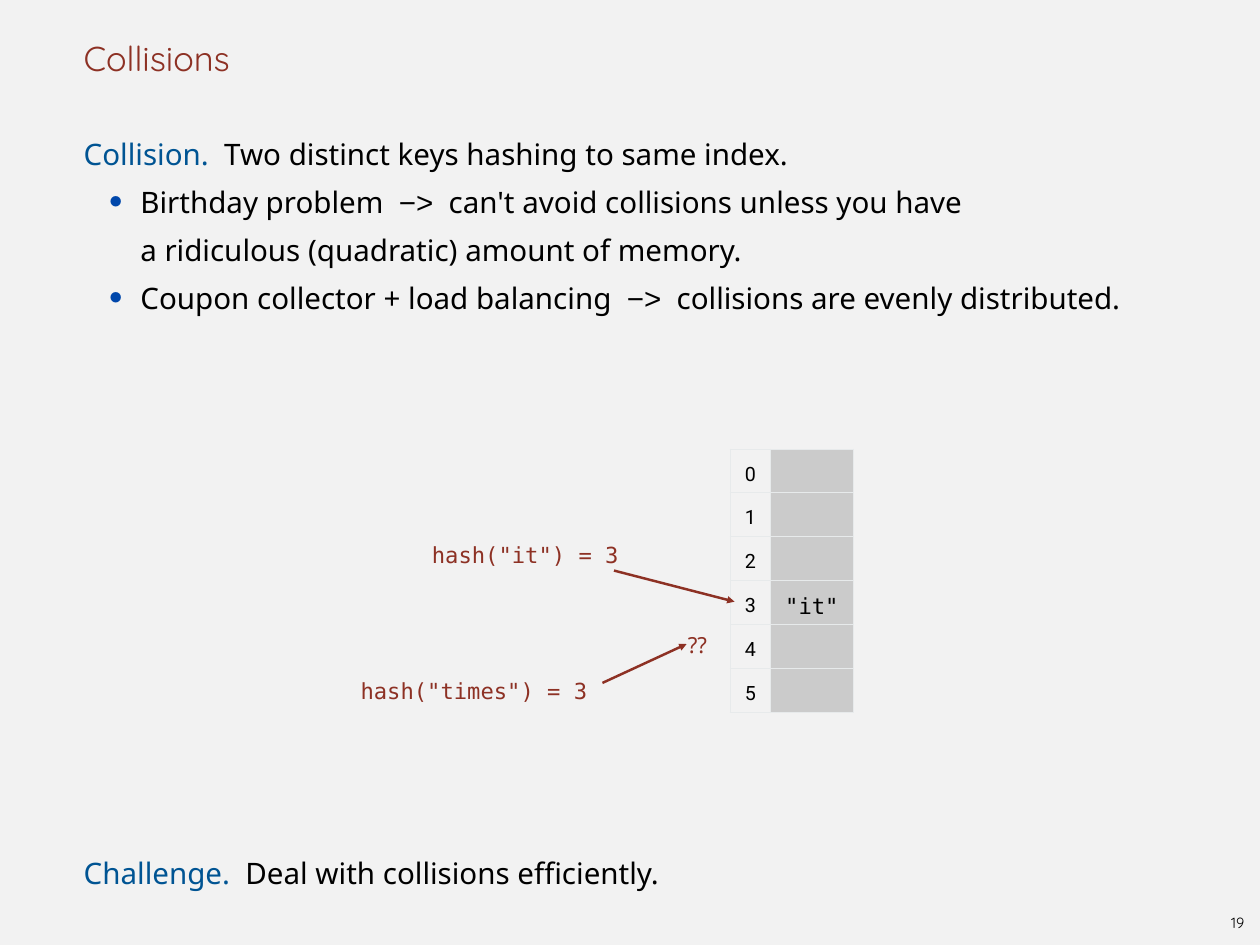
from dataclasses import dataclass

from lxml.etree import SubElement
from pptx import Presentation
from pptx.dml.color import RGBColor
from pptx.enum.shapes import MSO_CONNECTOR
from pptx.enum.text import MSO_ANCHOR, PP_ALIGN
from pptx.oxml.ns import qn
from pptx.slide import Slide
from pptx.table import _Cell
from pptx.text.text import TextFrame, _Paragraph
from pptx.util import Pt


@dataclass(frozen=True)
class Theme:
    background: str = "F2F2F2"
    black: str = "000000"
    red: str = "8D3124"
    blue: str = "005493"
    bullet: str = "0047AB"
    slot: str = "CBCBCB"
    border: str = "E7EAEB"
    heading_font: str = "Quicksand"
    body_font: str = "Noto Sans"
    code_font: str = "DejaVu Sans Mono"
    index_font: str = "Roboto"
    arrow_font: str = "Arial"
    title_size: float = 28
    body_size: float = 24
    code_size: float = 18
    index_size: float = 16
    page_size: float = 12
    body_leading: float = 39


THEME = Theme()


@dataclass(frozen=True)
class Box:
    left: float
    top: float
    width: float
    height: float


@dataclass(frozen=True)
class Run:
    text: str
    color: str = THEME.black
    font: str = THEME.body_font
    spacing: float = 0


@dataclass(frozen=True)
class BodyLine:
    lines: list[list[Run]]
    bulleted: bool = False


@dataclass(frozen=True)
class Label:
    text: str
    box: Box
    font: str = THEME.code_font


@dataclass(frozen=True)
class Arrow:
    start: tuple[float, float]
    tip: tuple[float, float]


GAP = Run(" ", spacing=6.24)
IMPLIES = Run("−>", font=THEME.arrow_font)
DEFINITION = [
    BodyLine([[Run("Collision.", THEME.blue), GAP, Run("Two distinct keys hashing to same index.")]]),
    BodyLine([
        [Run("Birthday problem"), GAP, IMPLIES, GAP, Run("can't avoid collisions unless you have")],
        [Run("a ridiculous (quadratic) amount of memory.")],
    ], bulleted=True),
    BodyLine([
        [Run("Coupon collector + load balancing"), GAP, IMPLIES, GAP,
         Run("collisions are evenly distributed.")],
    ], bulleted=True),
]
CHALLENGE = [
    BodyLine([[Run("Challenge.", THEME.blue), GAP, Run("Deal with collisions efficiently.")]]),
]
LABELS = [
    Label('hash("it") = 3', Box(347, 429, 166, 29)),
    Label('hash("times") = 3', Box(289, 539.3, 198, 29)),
    Label("??", Box(555, 502, 29, 29), THEME.body_font),
]
ARROWS = [
    Arrow((499, 463.7), (597, 489)),
    Arrow((489.6, 555), (558, 523.4)),
]
SLOTS = ["", "", "", '"it"', "", ""]
TABLE_BOX = Box(593.3, 365, 100, 213.6)
INDEX_WIDTH = 33
BODY_LEFT, BODY_TOP, BODY_WIDTH = 64, 100, 896
CHALLENGE_LINE = 15


def add_text(paragraph: _Paragraph, text: str, *, font: str, size: float,
             color: str = THEME.black, spacing: float = 0) -> None:
    run = paragraph.add_run()
    run.text = text
    run.font.name = font
    run.font.size = Pt(size)
    run.font.color.rgb = RGBColor.from_string(color)
    if spacing:
        run.font._element.set("spc", str(round(spacing * 100)))


def set_indent(paragraph: _Paragraph, left: float, first: float = 0) -> None:
    properties = paragraph._p.get_or_add_pPr()
    properties.set("marL", str(Pt(left)))
    properties.set("indent", str(Pt(first)))


def add_bullet(paragraph: _Paragraph) -> None:
    properties = paragraph._p.get_or_add_pPr()
    color = SubElement(properties, qn("a:buClr"))
    SubElement(color, qn("a:srgbClr"), val=THEME.bullet)
    SubElement(properties, qn("a:buSzPct"), val="167000")
    SubElement(properties, qn("a:buFont"), typeface=THEME.body_font)
    SubElement(properties, qn("a:buChar"), char="・")


def add_frame(slide: Slide, box: Box, *, anchor: MSO_ANCHOR = MSO_ANCHOR.TOP) -> TextFrame:
    shape = slide.shapes.add_textbox(Pt(box.left), Pt(box.top), Pt(box.width), Pt(box.height))
    frame = shape.text_frame
    frame.word_wrap = True
    frame.vertical_anchor = anchor
    frame.margin_left = frame.margin_right = frame.margin_top = frame.margin_bottom = 0
    set_indent(frame.paragraphs[0], 4)
    return frame


def add_body(slide: Slide, box: Box, body_lines: list[BodyLine]) -> None:
    frame = add_frame(slide, box)
    for position, body_line in enumerate(body_lines):
        paragraph = frame.add_paragraph() if position else frame.paragraphs[0]
        if body_line.bulleted:
            set_indent(paragraph, 50, -40)
            add_bullet(paragraph)
        paragraph.line_spacing = Pt(THEME.body_leading)
        for number, runs in enumerate(body_line.lines):
            if number:
                paragraph.add_line_break()
            for run in runs:
                add_text(paragraph, run.text, font=run.font, size=THEME.body_size,
                         color=run.color, spacing=run.spacing)


def add_label(slide: Slide, label: Label) -> None:
    paragraph = add_frame(slide, label.box).paragraphs[0]
    paragraph.line_spacing = 1.5
    add_text(paragraph, label.text, font=label.font, size=THEME.code_size, color=THEME.red)


def add_arrow(slide: Slide, arrow: Arrow) -> None:
    connector = slide.shapes.add_connector(
        MSO_CONNECTOR.STRAIGHT, *(Pt(value) for value in (*arrow.start, *arrow.tip)))
    connector.line.color.rgb = RGBColor.from_string(THEME.red)
    connector.line.width = Pt(2)
    SubElement(connector.line._get_or_add_ln(), qn("a:tailEnd"), type="triangle")
    SubElement(connector._element.spPr, qn("a:effectLst"))


def format_cell(cell: _Cell, text: str, *, font: str, size: float, fill: str | None = None) -> None:
    cell.vertical_anchor = MSO_ANCHOR.MIDDLE
    cell.margin_left = cell.margin_right = cell.margin_top = cell.margin_bottom = Pt(4)
    properties = cell._tc.get_or_add_tcPr()
    for side in ("L", "R", "T", "B"):
        border = SubElement(properties, qn(f"a:ln{side}"), w=str(Pt(1)))
        solid = SubElement(border, qn("a:solidFill"))
        SubElement(solid, qn("a:srgbClr"), val=THEME.border)
    if fill:
        cell.fill.solid()
        cell.fill.fore_color.rgb = RGBColor.from_string(fill)
    else:
        cell.fill.background()
    if text:
        paragraph = cell.text_frame.paragraphs[0]
        paragraph.alignment = PP_ALIGN.CENTER
        paragraph.line_spacing = 1.3
        add_text(paragraph, text, font=font, size=size)


def add_hash_table(slide: Slide, box: Box, slots: list[str]) -> None:
    table = slide.shapes.add_table(len(slots), 2, Pt(box.left), Pt(box.top),
                                   Pt(box.width), Pt(box.height)).table
    table.first_row = table.horz_banding = False
    table.columns[0].width = Pt(INDEX_WIDTH)
    table.columns[1].width = Pt(box.width - INDEX_WIDTH)
    for index, key in enumerate(slots):
        format_cell(table.cell(index, 0), str(index), font=THEME.index_font, size=THEME.index_size)
        format_cell(table.cell(index, 1), key, font=THEME.code_font, size=THEME.code_size,
                    fill=THEME.slot)


def main() -> None:
    presentation = Presentation()
    presentation.slide_width, presentation.slide_height = Pt(1024), Pt(768)
    slide = presentation.slides.add_slide(presentation.slide_layouts[6])
    slide.background.fill.solid()
    slide.background.fill.fore_color.rgb = RGBColor.from_string(THEME.background)
    title = add_frame(slide, Box(BODY_LEFT, 0, BODY_WIDTH, 64), anchor=MSO_ANCHOR.BOTTOM)
    add_text(title.paragraphs[0], "Collisions", font=THEME.heading_font, size=THEME.title_size,
             color=THEME.red)
    leading = THEME.body_leading
    add_body(slide, Box(BODY_LEFT, BODY_TOP, BODY_WIDTH, 4 * leading), DEFINITION)
    add_body(slide, Box(BODY_LEFT, BODY_TOP + CHALLENGE_LINE * leading, BODY_WIDTH, leading), CHALLENGE)
    add_hash_table(slide, TABLE_BOX, SLOTS)
    for label in LABELS:
        add_label(slide, label)
    for arrow in ARROWS:
        add_arrow(slide, arrow)
    page = add_frame(slide, Box(993.6, 738, 24.5, 23), anchor=MSO_ANCHOR.MIDDLE).paragraphs[0]
    set_indent(page, 0)
    page.alignment = PP_ALIGN.CENTER
    add_text(page, "19", font=THEME.heading_font, size=THEME.page_size)
    presentation.save("out.pptx")


if __name__ == "__main__":
    main()
